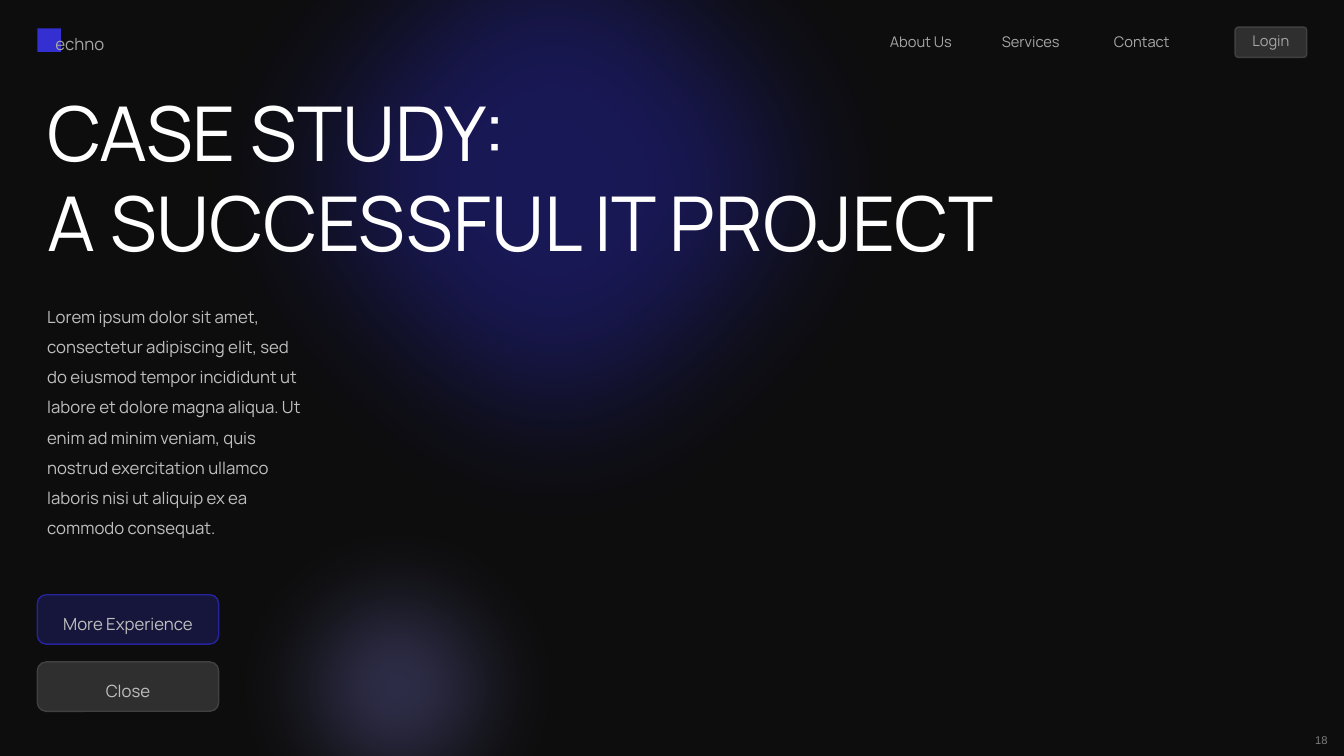
from lxml import etree
from pptx import Presentation
from pptx.dml.color import RGBColor
from pptx.enum import shapes, text
from pptx.oxml.ns import qn
from pptx.util import Pt

FONT = "Manrope"
LEFT = 26.64
BLUE, DEEP_BLUE, LAVENDER = "332FD0", "26239C", "8582E3"
PALE, OUTLINE = "F2F2F2", "404040"
WHITE, BODY, MUTED, DIM = "FFFFFF", "BFBFBF", "A6A6A6", "7F7F7F"


def color(hex_value):
    return RGBColor.from_string(hex_value)


def add_shape(slide, kind, box, fill, opacity=100, line=None):
    shape = slide.shapes.add_shape(kind, *map(Pt, box))
    shape.shadow.inherit = False
    shape.fill.solid()
    shape.fill.fore_color.rgb = color(fill)
    if opacity < 100:
        color_element = shape._element.spPr.find(qn("a:solidFill"))[0]
        etree.SubElement(color_element, qn("a:alpha"), val=str(opacity * 1000))
    if line:
        shape.line.color.rgb = color(line)
        shape.line.width = Pt(1)
    else:
        shape.line.fill.background()
    return shape


def add_text(slide, box, lines, size, hex_value, font=FONT,
             align=text.PP_ALIGN.LEFT, spacing=None):
    frame = slide.shapes.add_textbox(*map(Pt, box)).text_frame
    frame.word_wrap = True
    frame.auto_size = text.MSO_AUTO_SIZE.SHAPE_TO_FIT_TEXT
    frame.text = lines
    for paragraph in frame.paragraphs:
        paragraph.alignment = align
        if spacing:
            paragraph.line_spacing = spacing
        for run in paragraph.runs:
            run.font.name = font
            run.font.size = Pt(size)
            run.font.color.rgb = color(hex_value)


def add_glow(slide, center_x, center_y, diameter, fill, opacity, softness):
    """Draw a translucent circle that fades out towards its rim."""
    box = (center_x - diameter / 2, center_y - diameter / 2, diameter, diameter)
    glow = add_shape(slide, shapes.MSO_SHAPE.OVAL, box, fill, opacity)
    effects = glow._element.spPr.find(qn("a:effectLst"))
    etree.SubElement(effects, qn("a:softEdge"), rad=str(Pt(softness)))


def add_panel(slide, box, fill, opacity, line, rounding):
    panel = add_shape(slide, shapes.MSO_SHAPE.ROUNDED_RECTANGLE, box,
                      fill, opacity, line)
    panel.adjustments[0] = rounding


def add_header(slide, left, top, width):
    add_shape(slide, shapes.MSO_SHAPE.RECTANGLE, (left, top, 16.8, 16.8), BLUE)
    add_text(slide, (left + 5.8, top, 57, 21.6), "echno", 12, MUTED)
    for index, label in enumerate(["About Us", "Services", "Contact"]):
        add_text(slide, (left + 602 + 80 * index, top, 62.6, 20.5),
                 label, 10.5, MUTED)
    login_box = (left + width - 51.1, top - 0.8, 51.1, 21.6)
    add_panel(slide, login_box, PALE, 15, OUTLINE, 0.105)
    add_text(slide, login_box, "Login", 10.5, MUTED, align=text.PP_ALIGN.CENTER)


def add_case_study(slide, left, top, width):
    add_text(slide, (left, top, width, 138.2),
             "CASE STUDY:\nA SUCCESSFUL IT PROJECT", 54, WHITE)
    add_text(slide, (left, top + 150.5, 197.3, 181.4),
             "Lorem ipsum dolor sit amet, consectetur adipiscing elit, sed do "
             "eiusmod tempor incididunt ut labore et dolore magna aliqua. Ut "
             "enim ad minim veniam, quis nostrud exercitation ullamco laboris "
             "nisi ut aliquip ex ea commodo consequat.",
             12, BODY, spacing=1.5)


def add_buttons(slide, left, top):
    buttons = [("More Experience", BLUE, 24, DEEP_BLUE),
               ("Close", PALE, 15, OUTLINE)]
    for index, (label, fill, opacity, line) in enumerate(buttons):
        button_top = top + 48 * index
        add_panel(slide, (left, button_top, 129.6, 35.3),
                  fill, opacity, line, 0.181)
        add_text(slide, (left, button_top + 2.9, 129.6, 28.8), label, 12, BODY,
                 align=text.PP_ALIGN.CENTER, spacing=1.5)


def main():
    presentation = Presentation()
    presentation.slide_width, presentation.slide_height = Pt(960), Pt(540)
    slide = presentation.slides.add_slide(presentation.slide_layouts[6])
    slide.background.fill.solid()
    slide.background.fill.fore_color.rgb = color("0D0D0D")

    content_width = 960 - 2 * LEFT
    add_header(slide, LEFT, 20.2, content_width)
    add_text(slide, (892.8, 520.6, 62.6, 17.3), "18", 8, DIM, "Arial",
             text.PP_ALIGN.RIGHT)
    add_glow(slide, 283.7, 490.3, 316.8, LAVENDER, 34, 75)
    add_glow(slide, 396.4, 129.2, 598.3, DEEP_BLUE, 52, 110)
    add_case_study(slide, LEFT, 57.6, content_width)
    add_buttons(slide, LEFT, 424.8)
    presentation.save("out.pptx")


if __name__ == "__main__":
    main()
